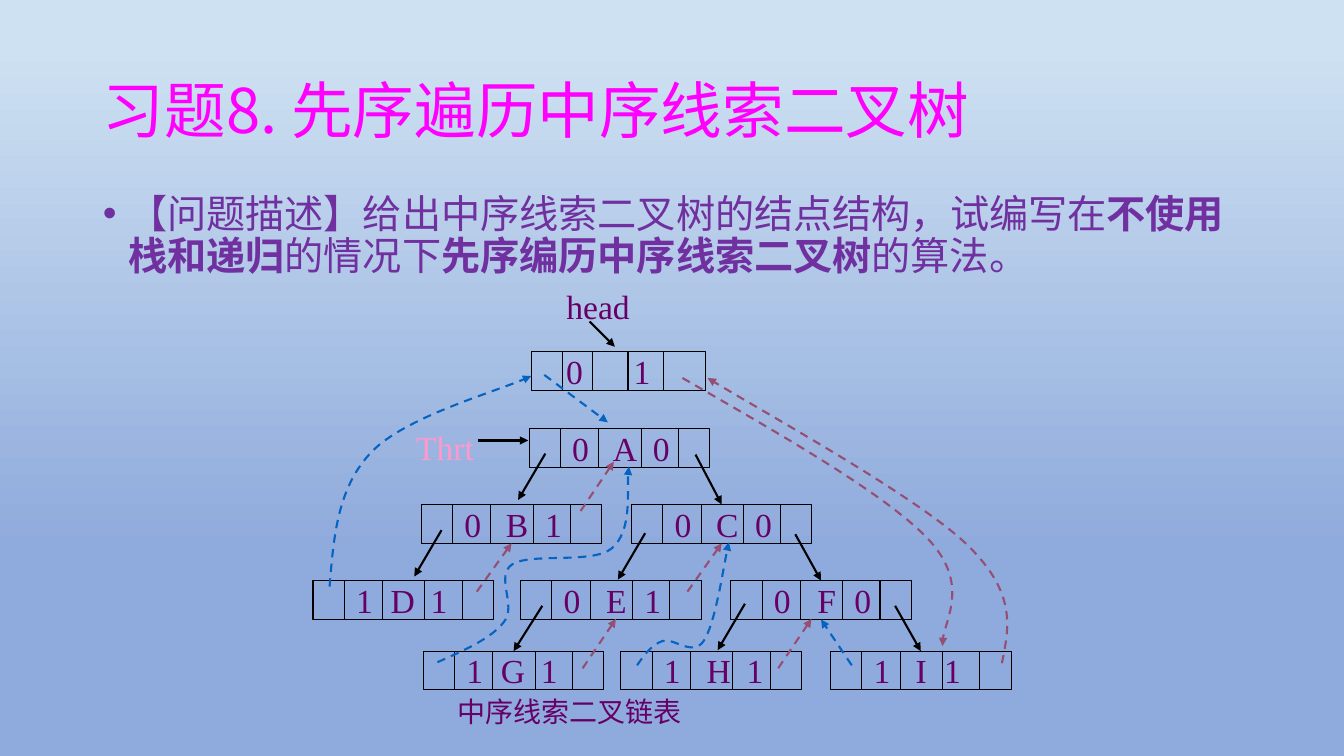
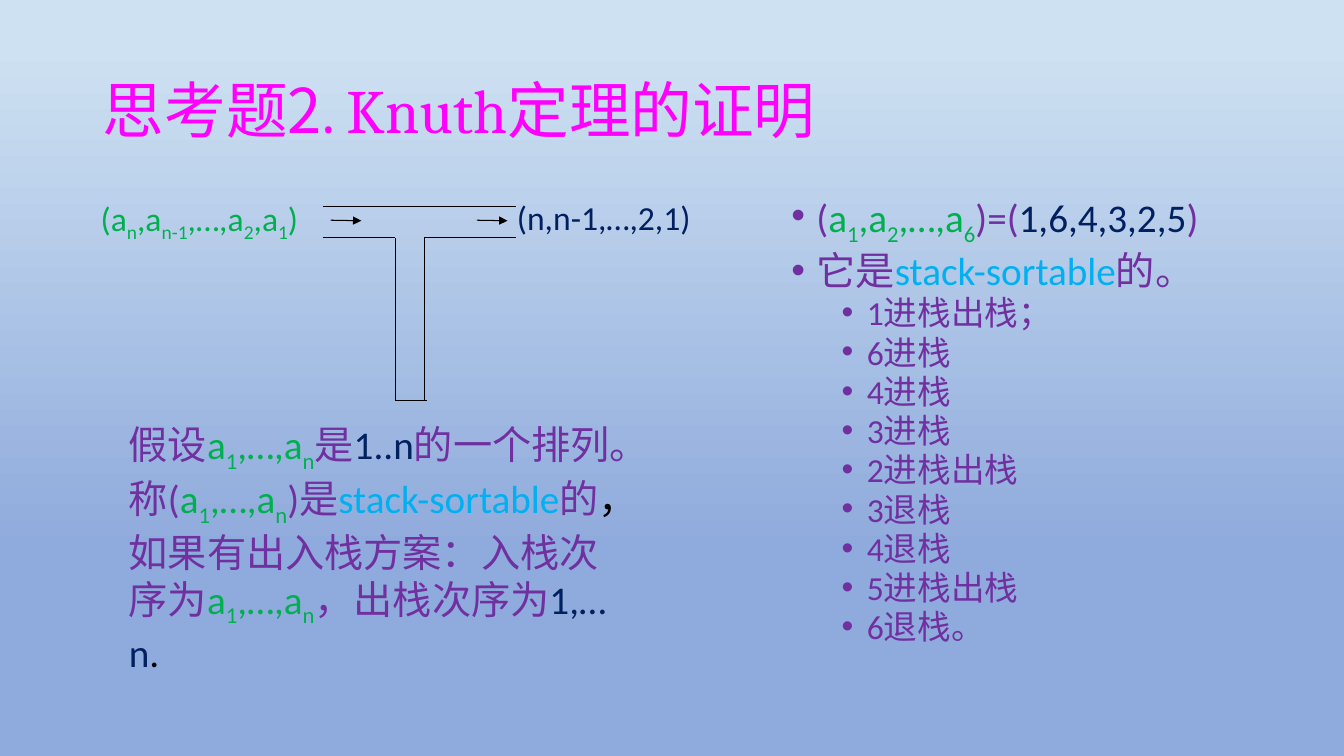
from dataclasses import dataclass, replace
from math import hypot

from lxml.etree import SubElement as Sub
from pptx import Presentation
from pptx.dml.color import RGBColor as RGB
from pptx.enum.dml import MSO_LINE
from pptx.enum.shapes import MSO_CONNECTOR as Conn, MSO_SHAPE as Shape
from pptx.enum.text import MSO_ANCHOR as Anchor, MSO_AUTO_SIZE as Auto, PP_ALIGN as Align
from pptx.oxml.ns import qn
from pptx.util import Inches, Pt


@dataclass(frozen=True)
class Ink:
    """Fonts, size, colour and weight of a run."""
    font: str
    size: float
    color: str
    bold: bool = False
    east: str = "Calibri"


class Theme:
    """Colours and type sizes of the deck."""
    sky = (("CEE1F2", 0.06), ("8FAADC", 0.73))
    black, back, ahead = "000000", "954F72", "0563C1"
    thin, thick = 0.75, 1.5
    title = Ink("Noto Sans CJK SC", 44, "FF00FF", east="Noto Sans CJK SC")
    latin = replace(title, font="Cambria")
    body = Ink("Calibri", 28, "7030A0")
    bold = replace(body, bold=True)
    green = replace(body, color="00B050")
    navy = replace(body, color="002060")
    cyan = replace(body, color="00B0F0")
    dark = replace(body, color=black)
    item = replace(body, size=24)
    node = Ink("Times New Roman", 24, "660066")
    pink = replace(node, color="FF99CC")
    note = replace(node, size=20)


def grid(*cells):
    """Turn grid cells, ten to the inch, into lengths."""
    return [Inches(c / 10) for c in cells]


class Deck:
    """Holds the presentation, its style and the current slide."""

    def __init__(self, theme):
        self.theme = theme
        self.prs = Presentation()
        self.prs.slide_width, self.prs.slide_height = grid(133.33, 75)
        fill = self.prs.slide_master.background.fill
        fill.gradient()
        fill.gradient_angle = 270
        for stop, (color, place) in zip(fill.gradient_stops, theme.sky):
            stop.color.rgb = RGB.from_string(color)
            stop.position = place

    def slide(self, title):
        """Start a slide with its title."""
        self.page = self.prs.slides.add_slide(self.prs.slide_layouts[1])
        self.sides = []
        frame = self.place(self.page.shapes.title, (9.2, 4, 115, 14.5))
        frame.vertical_anchor = Anchor.MIDDLE
        self.para(frame.paragraphs[0], title, space=0.9)

    def place(self, shape, box):
        """Set the position of a shape and return its text frame."""
        shape.left, shape.top, shape.width, shape.height = grid(*box)
        frame = shape.text_frame
        frame.word_wrap = True
        frame.auto_size = Auto.NONE
        return frame

    def para(self, par, parts, space=1.0, before=0):
        """Fill a paragraph with runs, braces marking subscripts."""
        par.alignment = Align.LEFT
        par.line_spacing = space
        par.space_before = Pt(before)
        for ink, text in parts:
            for i, bit in enumerate(text.replace("}", "{").split("{")):
                if bit:
                    self.run(par, ink, bit, i % 2)

    def run(self, par, ink, text, low=0):
        """Add a formatted run."""
        run = par.add_run()
        run.text = text
        font = run.font
        font.name, font.size, font.bold = ink.font, Pt(ink.size), ink.bold
        font.color.rgb = RGB.from_string(ink.color)
        prop = run._r.get_or_add_rPr()
        Sub(prop, qn("a:ea")).set("typeface", ink.east)
        if low:
            prop.set("baseline", "-25000")

    def body(self, box, rows, space):
        """Fill the body placeholder with bulleted rows of a level and runs."""
        frame = self.place(self.page.placeholders[1], box)
        frame.vertical_anchor = Anchor.TOP
        for i, (level, parts) in enumerate(rows):
            par = frame.add_paragraph() if i else frame.paragraphs[0]
            par.level = level
            prop = par._p.get_or_add_pPr()
            prop.set("marL", str(Inches(0.25 + level / 2)))
            prop.set("indent", str(Inches(-0.25)))
            Sub(prop, qn("a:buChar")).set("char", "•")
            self.para(par, parts, space, (5 if level else 10) if i else 0)

    def text(self, box, *rows, anchor=Anchor.TOP, wrap=True):
        """Add a text box with one paragraph a row."""
        frame = self.place(self.page.shapes.add_textbox(0, 0, 0, 0), box)
        frame.word_wrap = wrap
        frame.vertical_anchor = anchor
        for i, parts in enumerate(rows):
            self.para(frame.add_paragraph() if i else frame.paragraphs[0], parts)

    def stroke(self, shape, color, width, dash, head):
        """Style a line or an outline."""
        line = shape.line
        line.color.rgb = RGB.from_string(color)
        line.width = Pt(width)
        if dash:
            line.dash_style = MSO_LINE.DASH
        if head:
            Sub(line._get_or_add_ln(), qn("a:tailEnd")).set("type", "triangle")

    def line(self, start, end, color=Theme.black, width=Theme.thin, dash=False, head=False):
        """Draw a straight line, joined to a box side that it meets."""
        link = self.page.shapes.add_connector(Conn.STRAIGHT, *grid(*start, *end))
        self.stroke(link, color, width, dash, head)
        Sub(link._element.spPr, qn("a:effectLst"))
        if head:
            for box, site, x, y in self.sides:
                if hypot(end[0] - x, end[1] - y) < 0.5:
                    link.end_connect(box, site)

    def arrow(self, start, move, color=Theme.black, dash=False):
        """Draw an arrow from a point by a step."""
        end = start[0] + move[0], start[1] + move[1]
        self.line(start, end, color, Theme.thick, dash, True)

    def thread(self, color, start, *knots):
        """Draw a dashed arrow along cubic curves of three points each."""
        pen = self.page.shapes.build_freeform(*grid(*start))
        pen.add_line_segments([tuple(grid(*p)) for knot in knots for p in knot], close=False)
        shape = pen.convert_to_shape()
        legs = list(shape._element.iter(qn("a:lnTo")))
        for i in range(0, len(legs), 3):
            bend = legs[i]
            bend.tag = qn("a:cubicBezTo")
            for leg in legs[i + 1:i + 3]:
                bend.append(leg[0])
                leg.getparent().remove(leg)
        shape.fill.background()
        shape.shadow.inherit = False
        self.stroke(shape, color, Theme.thick, True, True)

    def node(self, x, y, words, stops, width=17.9, height=3.85, cuts=(3.1, 6.9, 11.1, 14.8)):
        """Draw a five-cell node with words centred on tab stops."""
        box = self.page.shapes.add_shape(Shape.RECTANGLE, *grid(x, y, width, height))
        box.fill.background()
        box.shadow.inherit = False
        self.stroke(box, Theme.black, Theme.thin, False, False)
        frame = box.text_frame
        frame.margin_left = frame.margin_right = frame.margin_top = frame.margin_bottom = 0
        frame.vertical_anchor = Anchor.MIDDLE
        par = frame.paragraphs[0]
        tabs = Sub(par._p.get_or_add_pPr(), qn("a:tabLst"))
        for stop in stops:
            tab = Sub(tabs, qn("a:tab"))
            tab.set("pos", str(grid(stop)[0]))
            tab.set("algn", "ctr")
        self.para(par, [(Theme.node, "".join("\t" + w for w in words))])
        self.sides += [(box, 0, x + width / 2, y), (box, 2, x + width / 2, y + height)]
        for cut in cuts:
            self.line((x + cut, y), (x + cut, y + height))


def tree(deck):
    """Build the slide of the threaded binary tree."""
    t = Theme
    deck.slide([(t.title, "习题8. 先序遍历中序线索二叉树")])
    deck.body((9.2, 18.8, 115, 9.5), [(0, [
        (t.body, "【问题描述】给出中序线索二叉树的结点结构，试编写在"),
        (t.bold, "不使用栈和递归"), (t.body, "的情况下"),
        (t.bold, "先序编历中序线索二叉树"), (t.body, "的算法。")])], 0.9)
    for box, ink, word in (((44.4, 68.6, 29.1, 3.9), t.note, "中序线索二叉链表"),
                           ((55.2, 28.4, 7.1, 3.9), t.node, "head"),
                           ((40.3, 42.4, 7.1, 3.9), t.pink, "Thrt")):
        deck.text(box, [(ink, word)], anchor=Anchor.MIDDLE, wrap=False)

    deck.node(52.7, 34.85, "01", (4.3, 11), 17.3, 3.9, (3.1, 6.1, 9.6, 13.1))
    loose, tight = (5.1, 9.5, 13.1), (5.1, 8.9, 12.5)
    rows = ((42.5, ((52.5, "0A0", loose),)),
            (50.05, ((41.8, "0B1", loose), (62.65, "0C0", loose))),
            (57.6, ((31.05, "1D1", tight), (51.65, "0E1", loose), (72.5, "0F0", loose))),
            (64.6, ((42, "1G1", tight), (61.6, "1H1", (5.1, 9.7, 13.3)),
                    (82.4, "1I1", (5.1, 9, 12.1)))))
    for y, row in rows:
        for x, words, stops in row:
            deck.node(x, y, words, stops)

    left, right, up = (-2.7, 4.6), (2.7, 4.6), (3.3, -4.9)
    for spot in ((54.1, 45), (64, 52.9), (43.8, 52.6), (53.8, 60.1), (73.9, 59.9)):
        deck.arrow(spot, left)
    for spot in ((69, 45.1), (78.9, 53), (88.8, 60.1)):
        deck.arrow(spot, right)
    for spot in ((47.3, 58.7), (57.6, 50.7), (57.8, 66.3), (68.2, 58.7), (77.2, 66.3)):
        deck.arrow(spot, up, t.back, True)
    deck.arrow((84.5, 66), (-2.7, -4.6), t.ahead, True)
    deck.arrow((54, 37.2), (6.3, 4.7), t.ahead, True)
    deck.arrow((47.4, 43.7), (5, 0))
    deck.arrow((58.5, 31.9), (2.5, 2.5))

    deck.thread(t.ahead, (43.4, 65.7),
                ((46.1, 64.5), (48.8, 63.3), (50, 61.7)),
                ((51.3, 60.1), (49.1, 57.2), (50.8, 56)),
                ((52.6, 54.8), (58.8, 56), (60.7, 54.4)),
                ((62.7, 52.7), (62.1, 47.6), (62.4, 46.3)))
    deck.thread(t.ahead, (63.2, 66),
                ((63.9, 65), (64.6, 64), (65.7, 63.6)),
                ((66.8, 63.2), (68.7, 65.2), (69.8, 63.6)),
                ((70.9, 62), (71.9, 55.5), (72.3, 53.8)))
    deck.thread(t.back, (67.7, 37.5),
                ((77.6, 43.2), (87.6, 48.9), (91.9, 53.3)),
                ((96.2, 57.7), (93.3, 62.3), (93.5, 64.1)))
    deck.thread(t.ahead, (32.7, 58.2),
                ((33.1, 53.2), (33.5, 48.3), (36.9, 44.8)),
                ((40.2, 41.4), (50.1, 38.6), (52.7, 37.3)))
    deck.thread(t.back, (99.4, 65.8),
                ((100.1, 62.3), (100.9, 58.9), (96, 54.1)),
                ((91.2, 49.4), (74.5, 40.2), (70.2, 37.5)))


def stack(deck):
    """Build the slide of the stack-sorting theorem."""
    t = Theme
    deck.slide([(t.title, "思考题2"), (t.latin, ". Knuth定理的证明")])
    steps = ("1进栈出栈；", "6进栈", "4进栈", "3进栈", "2进栈出栈",
             "3退栈", "4退栈", "5进栈出栈", "6退栈。")
    deck.body((77.5, 19.2, 47.7, 47.6), [
        (0, [(t.body, "("), (t.green, "a{1},a{2},…,a{6}"), (t.body, ")=("),
             (t.navy, "1,6,4,3,2,5"), (t.body, ")")]),
        (0, [(t.body, "它是"), (t.cyan, "stack-sortable"), (t.body, "的。")]),
        *((1, [(t.item, step)]) for step in steps)], 0.8)
    deck.text((9, 19.15, 28.3, 5),
              [(replace(t.green, size=24), "(a{n},a{n-1},…,a{2},a{1})")])
    deck.text((50.3, 19.05, 22.9, 5), [(replace(t.navy, size=24), "(n,n-1,…,2,1)")])
    terms = (t.green, "a{1},…,a{n}")
    deck.text((11.8, 41.25, 51.3, 19.9),
              [(t.body, "假设"), terms, (t.body, "是"), (t.navy, "1..n"),
               (t.body, "的一个排列。")],
              [(t.body, "称("), terms, (t.body, ")是"), (t.cyan, "stack-sortable"),
               (t.body, "的"), (t.dark, "，"), (t.body, "如果有出入栈方案：入栈次序为"),
               terms, (t.body, "，出栈次序为"), (t.navy, "1,…n"), (t.dark, ".")])

    west, east, wall, door, top, lip, base = 32, 51.2, 39.2, 42.1, 20.5, 23.6, 39.7
    for start, end in (((west, top), (east, top)), ((west, lip), (wall, lip)),
                       ((door, lip), (east, lip)), ((wall, lip), (wall, base)),
                       ((door, lip), (door, base)), ((wall, base), (42.4, base))):
        deck.line(start, end)
    for x in (32.8, 47.3):
        deck.line((x, 21.85), (x + 3.05, 21.9), head=True)


def main():
    """Build and save the deck."""
    deck = Deck(Theme)
    tree(deck)
    stack(deck)
    deck.prs.save("out.pptx")


if __name__ == "__main__":
    main()
